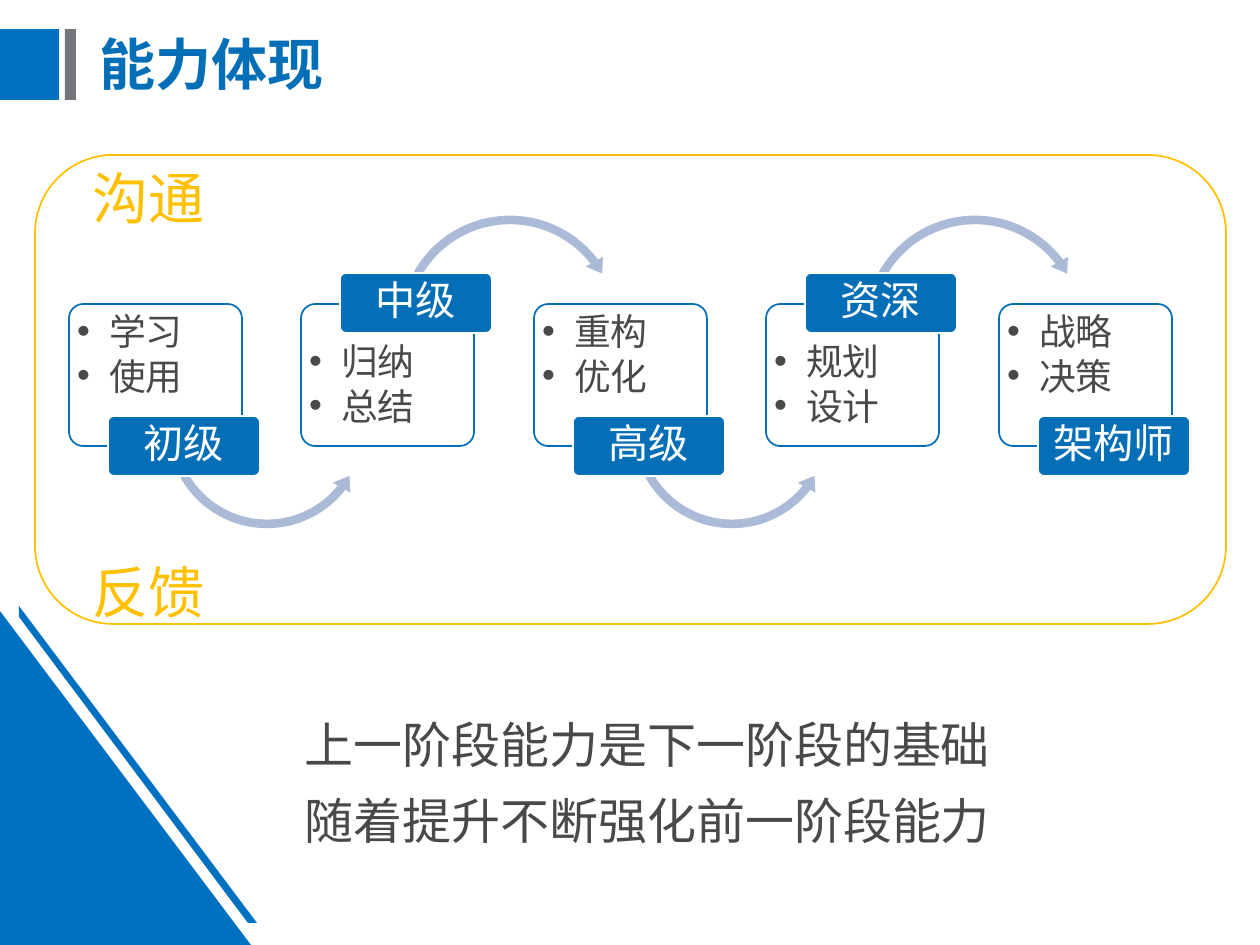
from dataclasses import dataclass

from lxml.etree import SubElement
from pptx import Presentation
from pptx.dml.color import RGBColor
from pptx.enum.shapes import MSO_SHAPE
from pptx.enum.text import MSO_ANCHOR, PP_ALIGN
from pptx.oxml.ns import qn
from pptx.util import Pt

EMU_PER_PX = 914400 / 126


def px(n):
    return round(n * EMU_PER_PX)


@dataclass(frozen=True)
class Theme:
    corner_blue: str = "0070C0"
    blue: str = "046FB6"
    gray: str = "73767A"
    ink: str = "47494B"
    gold: str = "FFC000"
    arrow: str = "ABBBD7"
    white: str = "FFFFFF"
    cjk: str = "Noto Sans CJK SC"
    latin: str = "Arial"
    diagram: str = "Calibri"
    title: int = 32
    note: int = 28
    label: int = 23
    item: int = 21


def write(tf, text, *, size, color, font, cjk, pitch, bold=False, align=PP_ALIGN.LEFT,
          anchor=MSO_ANCHOR.TOP, insets=(13, 6, 13, 6), bullet=False):
    tf.word_wrap = True
    tf.vertical_anchor = anchor
    tf.margin_left, tf.margin_top, tf.margin_right, tf.margin_bottom = map(px, insets)
    for i, line in enumerate(text.split("\n")):
        p = tf.paragraphs[0] if i == 0 else tf.add_paragraph()
        p.alignment = align
        p.line_spacing = Pt(pitch)
        if bullet:
            pPr = p._p.get_or_add_pPr()
            pPr.set("marL", str(px(32)))
            pPr.set("indent", str(-px(32)))
            SubElement(pPr, qn("a:buFont")).set("typeface", "Arial")
            SubElement(pPr, qn("a:buChar")).set("char", "•")
        r = p.add_run()
        r.text = line
        r.font.size = Pt(size)
        r.font.bold = bold
        r.font.name = font
        r.font.color.rgb = RGBColor.from_string(color)
        SubElement(r._r.get_or_add_rPr(), qn("a:ea")).set("typeface", cjk)


class Deck:
    """Draws styled elements on the current slide."""

    def __init__(self, prs, theme):
        self.theme = theme
        self.s = prs.slides.add_slide(prs.slide_layouts[6])

    def paint(self, sp, fill, line=None, alpha=None):
        sp.shadow.inherit = False
        sp.fill.solid()
        sp.fill.fore_color.rgb = RGBColor.from_string(fill)
        if alpha:
            clr = sp._element.spPr.find(f"{qn('a:solidFill')}/{qn('a:srgbClr')}")
            SubElement(clr, qn("a:alpha")).set("val", str(alpha * 1000))
        if line:
            sp.line.color.rgb = RGBColor.from_string(line)
            sp.line.width = Pt(1)
        else:
            sp.line.fill.background()
        return sp

    def shape(self, kind, box, fill, line=None, adj=(), alpha=None):
        sp = self.s.shapes.add_shape(kind, *map(px, box))
        for i, value in enumerate(adj):
            sp.adjustments[i] = value
        return self.paint(sp, fill, line, alpha)

    def polygon(self, points, fill):
        fb = self.s.shapes.build_freeform(*points[0], scale=EMU_PER_PX)
        fb.add_line_segments(points[1:], close=True)
        return self.paint(fb.convert_to_shape(), fill)

    def text(self, box, text, **fmt):
        sp = self.s.shapes.add_textbox(*map(px, box))
        write(sp.text_frame, text, cjk=self.theme.cjk, **fmt)

    def card(self, x, items, top_inset):
        t = self.theme
        sp = self.shape(MSO_SHAPE.ROUNDED_RECTANGLE, (x, 304, 173, 142), t.white,
                        t.blue, (0.1,), alpha=90)
        write(sp.text_frame, items, size=t.item, color=t.ink, font=t.diagram, cjk=t.cjk,
              pitch=25.5, insets=(4, top_inset, 4, 0), bullet=True)

    def label(self, x, y, name):
        t = self.theme
        sp = self.shape(MSO_SHAPE.ROUNDED_RECTANGLE, (x, y, 152, 60), t.blue,
                        t.white, (0.1,))
        write(sp.text_frame, name, size=t.label, color=t.white, font=t.diagram, cjk=t.cjk,
              pitch=28, align=PP_ALIGN.CENTER, anchor=MSO_ANCHOR.MIDDLE,
              insets=(6, 0, 6, 8))

    def arrow(self, x, rising):
        if rising:
            kind, box = MSO_SHAPE.LEFT_CIRCULAR_ARROW, (x, 324, 210, 210)
            adj = (0.041, 5.177, 22.932, 90.245, 0.048)
        else:
            kind, box = MSO_SHAPE.CIRCULAR_ARROW, (x, 210, 232, 232)
            adj = (0.037, 4.642, 193.603, 125.755, 0.043)
        self.shape(kind, box, self.theme.arrow, adj=adj)


STAGES = [
    ("初级", "学习\n使用"),
    ("中级", "归纳\n总结"),
    ("高级", "重构\n优化"),
    ("资深", "规划\n设计"),
    ("架构师", "战略\n决策"),
]


def main():
    prs = Presentation()
    prs.slide_width, prs.slide_height = px(1260), px(945)
    t = Theme()
    d = Deck(prs, t)

    d.shape(MSO_SHAPE.RECTANGLE, (0, 29, 59, 71), t.corner_blue)
    d.shape(MSO_SHAPE.RECTANGLE, (65, 29, 11, 71), t.gray)
    d.shape(MSO_SHAPE.RIGHT_TRIANGLE, (0, 611, 251, 334), t.corner_blue)
    d.polygon([(19, 606), (257, 923), (248, 923), (19, 617)], t.corner_blue)
    d.shape(MSO_SHAPE.ROUNDED_RECTANGLE, (35, 155, 1191, 469), t.white, t.gold)
    d.text((87, 8, 1121, 109), "能力体现", size=t.title, color=t.blue, font=t.cjk,
           pitch=39, bold=True, anchor=MSO_ANCHOR.MIDDLE)

    for i, (name, items) in enumerate(STAGES):
        x = 69 + i * 465 // 2
        low = i % 2 == 0
        d.card(x, items, 0 if low else 30)
        if i < len(STAGES) - 1:
            d.arrow(x + 93, low)
        d.label(x + 39, 416 if low else 273, name)

    for y, word in ((132, "沟通"), (526, "反馈")):
        d.text((79, y, 160, 96), word, size=t.title, color=t.gold, font=t.latin, pitch=53)
    d.text((292, 691, 794, 168), "上一阶段能力是下一阶段的基础\n随着提升不断强化前一阶段能力",
           size=t.note, color=t.ink, font=t.latin, pitch=43.5)

    prs.save("out.pptx")


if __name__ == "__main__":
    main()
